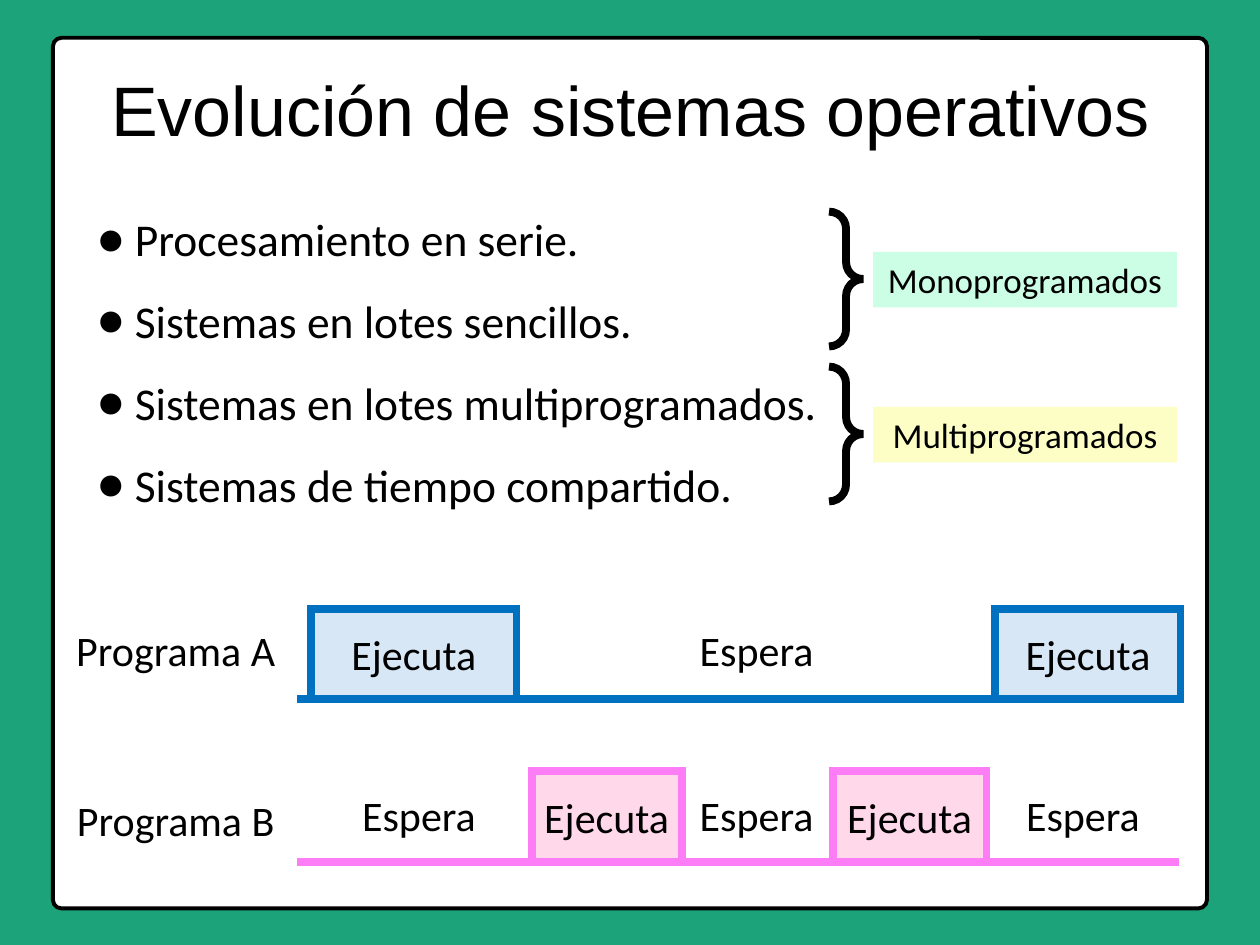
from dataclasses import dataclass

from lxml.etree import SubElement
from pptx import Presentation
from pptx.dml.color import RGBColor
from pptx.enum.shapes import MSO_CONNECTOR as Connector, MSO_SHAPE as Shape
from pptx.enum.text import MSO_ANCHOR as Anchor, MSO_AUTO_SIZE as AutoSize, PP_ALIGN as Align
from pptx.oxml.ns import qn
from pptx.util import Inches, Pt


@dataclass(frozen=True)
class Theme:
    green: RGBColor = RGBColor.from_string("1CA379")
    white: RGBColor = RGBColor.from_string("FFFFFF")
    black: RGBColor = RGBColor.from_string("000000")
    mint: RGBColor = RGBColor.from_string("CCFDE5")
    yellow: RGBColor = RGBColor.from_string("FCFEC6")
    blue: RGBColor = RGBColor.from_string("0070C0")
    pale_blue: RGBColor = RGBColor.from_string("D7E7F5")
    pink: RGBColor = RGBColor.from_string("FD7DF6")
    pale_pink: RGBColor = RGBColor.from_string("FFD8E9")
    title_font: str = "Arial"
    body_font: str = "Calibri"
    title_size: Pt = Pt(40)
    list_size: Pt = Pt(26)
    label_size: Pt = Pt(20)
    timeline_size: Pt = Pt(24)
    thin: Pt = Pt(2.25)
    thick: Pt = Pt(4.5)


theme = Theme()

presentation = Presentation()
presentation.slide_width, presentation.slide_height = Inches(10), Inches(7.5)
slide = presentation.slides.add_slide(presentation.slide_layouts[1])
slide.background.fill.solid()
slide.background.fill.fore_color.rgb = theme.green


def add_text(paragraph, text, size, font=theme.body_font, align=Align.CENTER):
    paragraph.alignment = align
    run = paragraph.add_run()
    run.text = text
    run.font.name, run.font.size = font, size
    run.font.color.rgb = theme.black


def add_box(kind, left, top, width, height, fill=None, line=None, line_width=theme.thick,
            text="", size=theme.timeline_size):
    shape = slide.shapes.add_shape(kind, Inches(left), Inches(top), Inches(width), Inches(height))
    shape.shadow.inherit = False
    if fill is None:
        shape.fill.background()
    else:
        shape.fill.solid()
        shape.fill.fore_color.rgb = fill
    if line is None:
        shape.line.fill.background()
    else:
        shape.line.color.rgb, shape.line.width = line, line_width
        SubElement(shape.line._get_or_add_ln(), qn("a:miter"), lim="800000")
    if text:
        frame = shape.text_frame
        frame.word_wrap, frame.vertical_anchor = False, Anchor.MIDDLE
        add_text(frame.paragraphs[0], text, size)
    return shape


# White panel, sent behind the placeholders
panel = add_box(Shape.ROUNDED_RECTANGLE, 0.42, 0.3, 9.16, 6.91, theme.white, theme.black, theme.thin)
panel.adjustments[0] = 0.01
slide.shapes._spTree.insert(2, panel._element)

# Title
title = slide.shapes.title
title.left, title.top, title.width, title.height = Inches(0.65), Inches(0.53), Inches(8.7), Inches(0.67)
frame = title.text_frame
frame.auto_size, frame.vertical_anchor = AutoSize.NONE, Anchor.TOP
frame.margin_left = frame.margin_top = frame.margin_right = frame.margin_bottom = 0
add_text(frame.paragraphs[0], "Evolución de sistemas operativos", theme.title_size, theme.title_font)

# List of system types
body = slide.placeholders[1]
body.left, body.top, body.width, body.height = Inches(0.67), Inches(1.41), Inches(6.47), Inches(2.7)
frame = body.text_frame
frame.auto_size, frame.vertical_anchor = AutoSize.NONE, Anchor.TOP
systems = ["Procesamiento en serie.", "Sistemas en lotes sencillos.",
           "Sistemas en lotes multiprogramados.", "Sistemas de tiempo compartido."]
for index, system in enumerate(systems):
    paragraph = frame.paragraphs[0] if index == 0 else frame.add_paragraph()
    properties = paragraph._p.get_or_add_pPr()
    properties.set("marL", str(Inches(0.3)))
    properties.set("indent", str(Inches(-0.3)))
    SubElement(properties, qn("a:buFont"), typeface=theme.body_font)
    SubElement(properties, qn("a:buChar"), char="●")
    paragraph.line_spacing, paragraph.space_before = 1.5, Pt(0)
    add_text(paragraph, system, theme.list_size, align=Align.LEFT)

# Braces with their group labels
for top, label, fill in [(1.68, "Monoprogramados", theme.mint),
                         (2.91, "Multiprogramados", theme.yellow)]:
    brace = add_box(Shape.RIGHT_BRACE, 6.58, top, 0.27, 1.07, line=theme.black)
    brace.adjustments[0] = 0.5
    add_box(Shape.RECTANGLE, 6.93, top + 0.32, 2.41, 0.44, fill, text=label, size=theme.label_size)

# Timelines: base, name top, text top, colours, running (left, width), waiting lefts
box_height = 0.72
timelines = [
    ("Programa A", 5.55, 4.91, 4.91, theme.blue, theme.pale_blue,
     [(2.47, 1.63), (7.9, 1.47)], [5.32]),
    ("Programa B", 6.84, 6.26, 6.22, theme.pink, theme.pale_pink,
     [(4.22, 1.19), (6.61, 1.22)], [2.64, 5.32, 7.91]),
]
for name, base, name_top, wait_top, line, fill, running, waiting in timelines:
    axis = slide.shapes.add_connector(Connector.STRAIGHT, Inches(2.36), Inches(base),
                                      Inches(9.36), Inches(base))
    axis.line.color.rgb, axis.line.width = line, theme.thick
    SubElement(axis._element.spPr, qn("a:effectLst"))
    for left, width in running:
        add_box(Shape.RECTANGLE, left, base - box_height, width, box_height, fill, line, text="Ejecuta")
    labels = [(name, 0.43, name_top, 1.93)] + [("Espera", left, wait_top, 1.37) for left in waiting]
    for text, left, top, width in labels:
        text_box = slide.shapes.add_textbox(Inches(left), Inches(top), Inches(width), Inches(0.5))
        text_box.text_frame.word_wrap = True
        add_text(text_box.text_frame.paragraphs[0], text, theme.timeline_size)

presentation.save("out.pptx")
